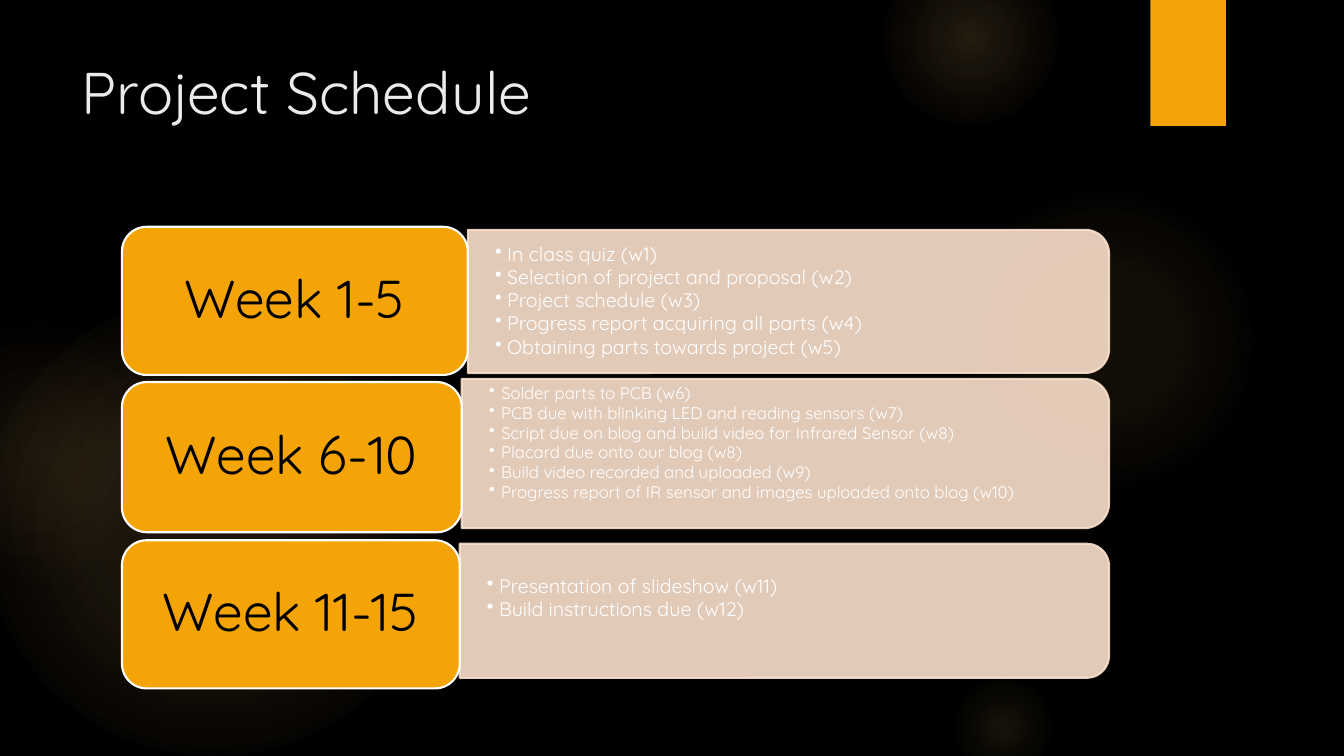
from dataclasses import dataclass

from lxml import etree
from pptx import Presentation
from pptx.dml.color import RGBColor
from pptx.enum.shapes import MSO_SHAPE
from pptx.enum.text import MSO_ANCHOR, PP_ALIGN
from pptx.oxml import parse_xml
from pptx.oxml.ns import nsdecls, qn
from pptx.util import Inches, Pt

ELLIPSE = MSO_SHAPE.OVAL
RECTANGLE = MSO_SHAPE.RECTANGLE
ROUNDED = MSO_SHAPE.ROUNDED_RECTANGLE
TOP_ROUNDED = MSO_SHAPE.ROUND_2_SAME_RECTANGLE
TOP = MSO_ANCHOR.TOP
MIDDLE = MSO_ANCHOR.MIDDLE
LEFT = PP_ALIGN.LEFT
CENTER = PP_ALIGN.CENTER

COLORS = {
    "background": "000000",
    "accent": "F5A408",
    "panel": "FBE0CC",
    "glow": "FAC96A",
    "ember": "F59B74",
    "title": "EBEBEB",
    "light": "FFFFFF",
    "dark": "000000",
}

LABEL_LEFT = 1.21
PANEL_RIGHT = 11.0

GLOWS = [
    (-0.17, 2.92, 4.58, [(0, "glow", 11), (36, "glow", 10), (75, "glow", 0)]),
    (-0.92, 3.17, 2.58, [(0, "glow", 8), (36, "glow", 5), (71, "ember", 0)]),
    (9.41, 1.83, 3.08, [(0, "glow", 7), (36, "glow", 6), (69, "glow", 0)]),
    (8.75, -0.5, 1.75, [(0, "glow", 14), (36, "glow", 7), (73, "glow", 0)]),
    (9.41, 6.67, 1.08, [(0, "glow", 10), (31, "glow", 5), (66, "glow", 0)]),
]


@dataclass
class Phase:
    name: str
    label_top: float
    label_height: float
    panel_left: float
    panel_middle: float
    panel_height: float
    size: int
    bottom_inset: float
    tasks: list


PHASES = [
    Phase("Week 1-5", 2.25, 1.47, 4.64, 2.99, 1.42, 14, 0, [
        "In class quiz (w1)",
        "Selection of project and proposal (w2)",
        "Project schedule (w3)",
        "Progress report acquiring all parts (w4)",
        "Obtaining parts towards project (w5)",
    ]),
    Phase("Week 6-10", 3.79, 1.49, 4.58, 4.5, 1.48, 12, 0.2, [
        "Solder parts to PCB (w6)",
        "PCB due with blinking LED and reading sensors (w7)",
        "Script due on blog and build video for Infrared Sensor (w8)",
        "Placard due onto our blog (w8)",
        "Build video recorded and uploaded (w9)",
        "Progress report of IR sensor and images uploaded onto blog (w10)",
    ]),
    Phase("Week 11-15", 5.36, 1.47, 4.56, 6.06, 1.33, 14, 0.24, [
        "Presentation of slideshow (w11)",
        "Build instructions due (w12)",
    ]),
]


class ScheduleSlide:
    font_name = "Quicksand"

    def __init__(self, presentation):
        self.slide = presentation.slides.add_slide(presentation.slide_layouts[5])
        fill = self.slide.background.fill
        fill.solid()
        fill.fore_color.rgb = self.color("background")

    def color(self, name):
        return RGBColor.from_string(COLORS[name])

    def style(self, paragraph, size, color, alignment=LEFT):
        paragraph.alignment = alignment
        paragraph.font.name = self.font_name
        paragraph.font.size = Pt(size)
        paragraph.font.color.rgb = self.color(color)

    def title(self, text):
        shape = self.slide.shapes.title
        shape.left, shape.top = Inches(0.71), Inches(0.5)
        shape.width, shape.height = Inches(10.29), Inches(1.53)
        shape.text_frame.text = text
        shape.text_frame.vertical_anchor = TOP
        self.style(shape.text_frame.paragraphs[0], 42, "title")

    def shape(self, kind, left, top, width, height, fill=None, line=None):
        shape = self.slide.shapes.add_shape(
            kind, Inches(left), Inches(top), Inches(width), Inches(height))
        shape.shadow.inherit = False
        if fill:
            shape.fill.solid()
            shape.fill.fore_color.rgb = self.color(fill)
        else:
            shape.fill.background()
        if line:
            shape.line.color.rgb = self.color(line)
            shape.line.width = Pt(1.5)
        else:
            shape.line.fill.background()
        return shape

    def glow(self, left, top, diameter, stops):
        shape = self.shape(ELLIPSE, left, top, diameter, diameter)
        stop_xml = "".join(
            f'<a:gs pos="{position * 1000}"><a:srgbClr val="{COLORS[color]}">'
            f'<a:alpha val="{opacity * 1000}"/></a:srgbClr></a:gs>'
            for position, color, opacity in stops)
        gradient = parse_xml(
            f'<a:gradFill {nsdecls("a")}><a:gsLst>{stop_xml}</a:gsLst>'
            '<a:path path="circle"><a:fillToRect l="50000" t="50000" '
            'r="50000" b="50000"/></a:path></a:gradFill>')
        properties = shape.element.spPr
        properties.replace(properties.find(qn("a:noFill")), gradient)

    def label(self, phase):
        shape = self.shape(
            ROUNDED, LABEL_LEFT, phase.label_top, phase.panel_left - LABEL_LEFT,
            phase.label_height, "accent", "light")
        frame = shape.text_frame
        frame.text = phase.name
        frame.vertical_anchor = MIDDLE
        paragraph = frame.paragraphs[0]
        paragraph.line_spacing = 0.9
        self.style(paragraph, 38, "dark", CENTER)

    def panel(self, phase):
        length = PANEL_RIGHT - phase.panel_left
        center = (PANEL_RIGHT + phase.panel_left) / 2
        shape = self.shape(
            TOP_ROUNDED, center - phase.panel_height / 2,
            phase.panel_middle - length / 2, phase.panel_height, length,
            "panel", "panel")
        shape.rotation = 90
        for color in shape.element.spPr.iter(qn("a:srgbClr")):
            etree.SubElement(color, qn("a:alpha"), val="90000")

    def tasks(self, phase):
        height = phase.panel_height - 0.14
        box = self.slide.shapes.add_textbox(
            Inches(phase.panel_left), Inches(phase.panel_middle - height / 2),
            Inches(PANEL_RIGHT - phase.panel_left - 0.07), Inches(height))
        frame = box.text_frame
        frame.word_wrap = True
        frame.vertical_anchor = MIDDLE
        frame.margin_left = frame.margin_right = Inches(0.27)
        frame.margin_top = 0
        frame.margin_bottom = Inches(phase.bottom_inset)
        frame.text = "\n".join(phase.tasks)
        for paragraph in frame.paragraphs:
            properties = paragraph._p.get_or_add_pPr()
            properties.set("marL", str(Inches(0.12)))
            properties.set("indent", str(-Inches(0.12)))
            etree.SubElement(properties, qn("a:buChar"), char="•")
            paragraph.line_spacing = 0.9
            paragraph.space_after = Pt(phase.size / 10)
            self.style(paragraph, phase.size, "light")


def main():
    presentation = Presentation()
    presentation.slide_width = Inches(13.33)
    presentation.slide_height = Inches(7.5)
    schedule = ScheduleSlide(presentation)
    for glow in GLOWS:
        schedule.glow(*glow)
    schedule.shape(RECTANGLE, 11.41, 0, 0.75, 1.25, "accent")
    schedule.title("Project Schedule")
    for phase in PHASES:
        schedule.panel(phase)
        schedule.tasks(phase)
        schedule.label(phase)
    presentation.save("out.pptx")


if __name__ == "__main__":
    main()
